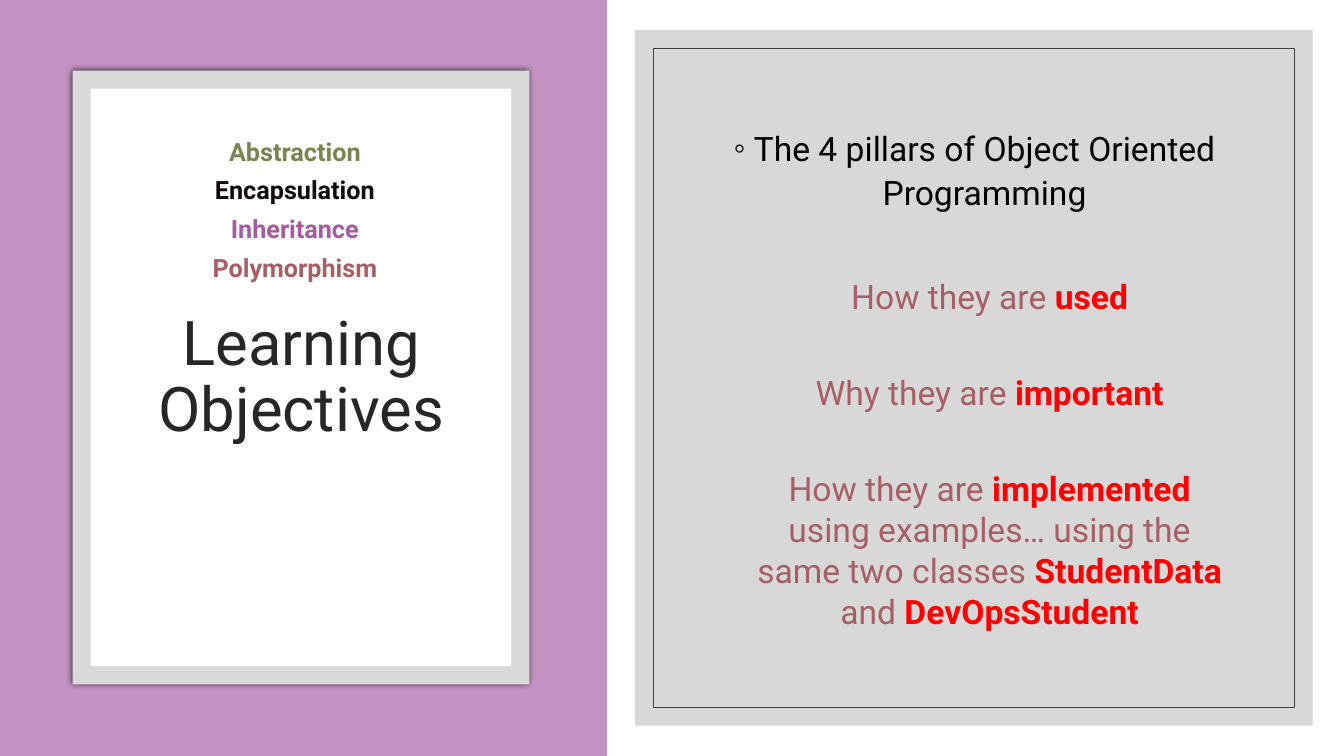
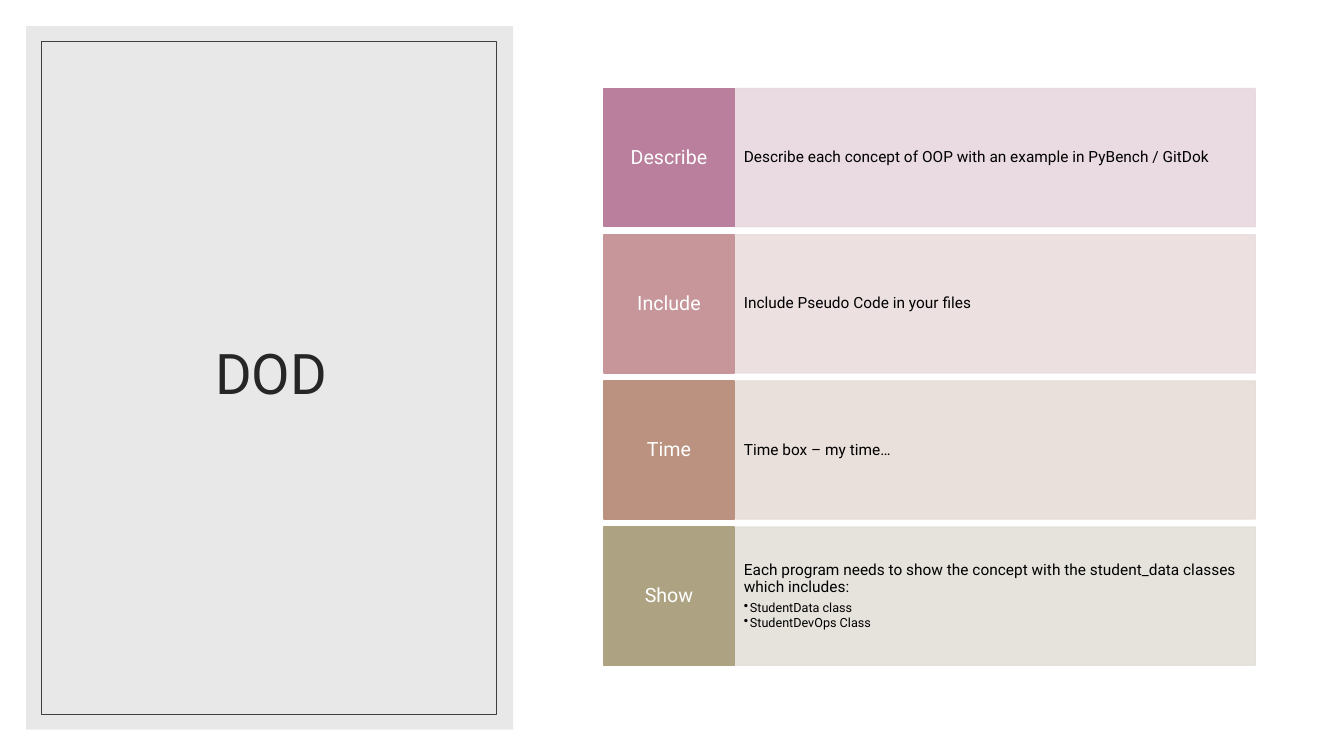
"""Build two slides on the pillars of object oriented programming."""
from lxml.etree import SubElement as Sub
from pptx import Presentation
from pptx.dml.color import RGBColor
from pptx.enum.shapes import MSO_SHAPE as Kind
from pptx.enum.text import MSO_ANCHOR as Anchor, MSO_AUTO_SIZE as Auto, PP_ALIGN as Align
from pptx.oxml.ns import qn
from pptx.util import Inches, Pt

FONT = "Roboto"
WHITE, BLACK, INK, EDGE = "FFFFFF", "000000", "262626", "404040"
GREY, ROSE, RED = "D9D9D9", "A75E64", "FF0000"
SIDES = ("left", "top", "width", "height")
hue = RGBColor.from_string


def box(slide, at, fill=None, line=None, wide=1, alpha=100):
    """Add a flat rectangle with optional fill, line and opacity."""
    shape = slide.shapes.add_shape(Kind.RECTANGLE, *map(Inches, at))
    shape.shadow.inherit = False
    for part, tone in ((shape.fill, fill), (shape.line.fill, line)):
        if tone:
            part.solid()
            part.fore_color.rgb = hue(tone)
        else:
            part.background()
    if line:
        shape.line.width = Pt(wide)
    if alpha < 100:
        for node in shape.element.spPr.iter(qn("a:srgbClr")):
            Sub(node, qn("a:alpha"), val=str(alpha * 1000))
    return shape


def write(para, runs, size, left=0, hang=0, mark=None, **form):
    """Fill a paragraph with (text, colour, bold) runs and format it."""
    for key, val in form.items():
        setattr(para, key, val)
    props = para._p.get_or_add_pPr()
    props.set("marL", str(Inches(left)))
    props.set("indent", str(Inches(-hang)))
    if mark:
        Sub(props, qn("a:buChar"), char=mark)
    else:
        Sub(props, qn("a:buNone"))
    for text, tone, bold in runs:
        run = para.add_run()
        run.text = text
        look = {"name": FONT, "size": Pt(size), "bold": bold}
        for key, val in look.items():
            setattr(run.font, key, val)
        run.font.color.rgb = hue(tone)


deck = Presentation()
deck.slide_width, deck.slide_height = Inches(13.33), Inches(7.5)
goals = deck.slides.add_slide(deck.slide_layouts[1])
tasks = deck.slides.add_slide(deck.slide_layouts[5])

box(goals, (0, 0, 6.02, 7.5), "C492C0")
card = box(goals, (0.72, 0.7, 4.53, 6.09), GREY)
glow = Sub(card.element.spPr.find(qn("a:effectLst")), qn("a:outerShdw"),
           blurRad=str(Pt(4)), dist="0", dir="0", algn="ctr", rotWithShape="0")
Sub(Sub(glow, qn("a:srgbClr"), val=BLACK), qn("a:alpha"), val="66000")
box(goals, (0.9, 0.88, 4.17, 5.73), WHITE)
box(goals, (6.3, 0.3, 6.72, 6.9), "BFBFBF", alpha=60)
box(goals, (6.48, 0.48, 6.36, 6.54), line=EDGE, wide=0.5)
box(tasks, (0.26, 0.26, 4.83, 6.98), GREY, alpha=60)
box(tasks, (0.41, 0.41, 4.51, 6.68), line=EDGE, wide=0.5)

body = goals.placeholders[1]
for slide, holder, at in (
    (goals, goals.shapes.title, (1.08, 1.3, 3.82, 4.91)),
    (goals, body, (7, 1.02, 5.33, 5.45)),
    (tasks, tasks.shapes.title, (0.63, 0.61, 4.12, 6.24)),
):
    for side, val in zip(SIDES, at):
        setattr(holder, side, Inches(val))
    look = {"word_wrap": True, "auto_size": Auto.NONE, "vertical_anchor": Anchor.MIDDLE}
    for key, val in look.items():
        setattr(holder.text_frame, key, val)
    slide.shapes._spTree.append(holder._element)

for slide, text, size in ((goals, "Learning Objectives", 44), (tasks, "DOD", 40)):
    write(slide.shapes.title.text_frame.paragraphs[0], [(text, INK, False)], size,
          alignment=Align.CENTER, line_spacing=0.9)

lead = body.text_frame.paragraphs[0]
write(lead, [("The 4 pillars of Object Oriented Programming", BLACK, False)], 24,
      0.2, 0.2, "◦", alignment=Align.CENTER, line_spacing=1.1, space_before=Pt(5))
points = [
    (45, ["How they are ", "used"]),
    (39, ["Why they are ", "important"]),
    (39, ["How they are ", "implemented",
          " using examples… using the same two classes ", "StudentData",
          " and ", "DevOpsStudent"]),
]
for gap, parts in points:
    runs = [(text, (ROSE, RED)[i % 2], i % 2 == 1) for i, text in enumerate(parts)]
    write(body.text_frame.add_paragraph(), runs, 24, 0.3, level=1,
          alignment=Align.CENTER, line_spacing=1.02, space_before=Pt(gap))

names = goals.shapes.add_textbox(*map(Inches, (1.34, 1.3, 3.17, 1.57))).text_frame
names.word_wrap = True
pillars = [("Abstraction", "7B8351"), ("Encapsulation", "100910"),
           ("Inheritance", "A65BA0"), ("Polymorphism", ROSE)]
for i, (text, tone) in enumerate(pillars):
    para = names.add_paragraph() if i else names.paragraphs[0]
    write(para, [(text, tone, True)], 18, alignment=Align.CENTER, space_after=Pt(6))

rows = [
    ("Describe", "BA7F9C", "E7D8DE",
     ["Describe each concept of OOP with an example in PyBench / GitDok"]),
    ("Include", "C6969A", "EADDDE", ["Include Pseudo Code in your files"]),
    ("Time", "BA927F", "E7DCD8", ["Time box – my time…"]),
    ("Show", "ADA383", "E3E0D9",
     ["Each program needs to show the concept with the student_data classes which includes:",
      "StudentData class", "StudentDevOps Class"]),
]
for i, (label, dark, pale, lines) in enumerate(rows):
    top = 0.88 + 1.45 * i
    panel = box(tasks, (7.28, top, 5.17, 1.37), pale, pale, alpha=90).text_frame
    tab = box(tasks, (5.99, top, 1.29, 1.37), dark, dark).text_frame
    for frame, x, y in ((panel, 0.1, 0.35), (tab, 0.07, 0.14)):
        look = {"margin_left": Inches(x), "margin_right": Inches(x),
                "margin_top": Inches(y), "margin_bottom": Inches(y),
                "word_wrap": True, "vertical_anchor": Anchor.MIDDLE}
        for key, val in look.items():
            setattr(frame, key, val)
    if len(lines) > 1:
        panel.vertical_anchor = Anchor.TOP
    write(tab.paragraphs[0], [(label, WHITE, False)], 14,
          alignment=Align.CENTER, line_spacing=0.9)
    write(panel.paragraphs[0], [(lines[0], BLACK, False)], 11,
          alignment=Align.LEFT, line_spacing=0.9, space_after=Pt(4))
    for text in lines[1:]:
        write(panel.add_paragraph(), [(text, BLACK, False)], 9, 0.06, 0.06, "•",
              level=1, alignment=Align.LEFT, line_spacing=0.9, space_after=Pt(1.4))

deck.save("out.pptx")
